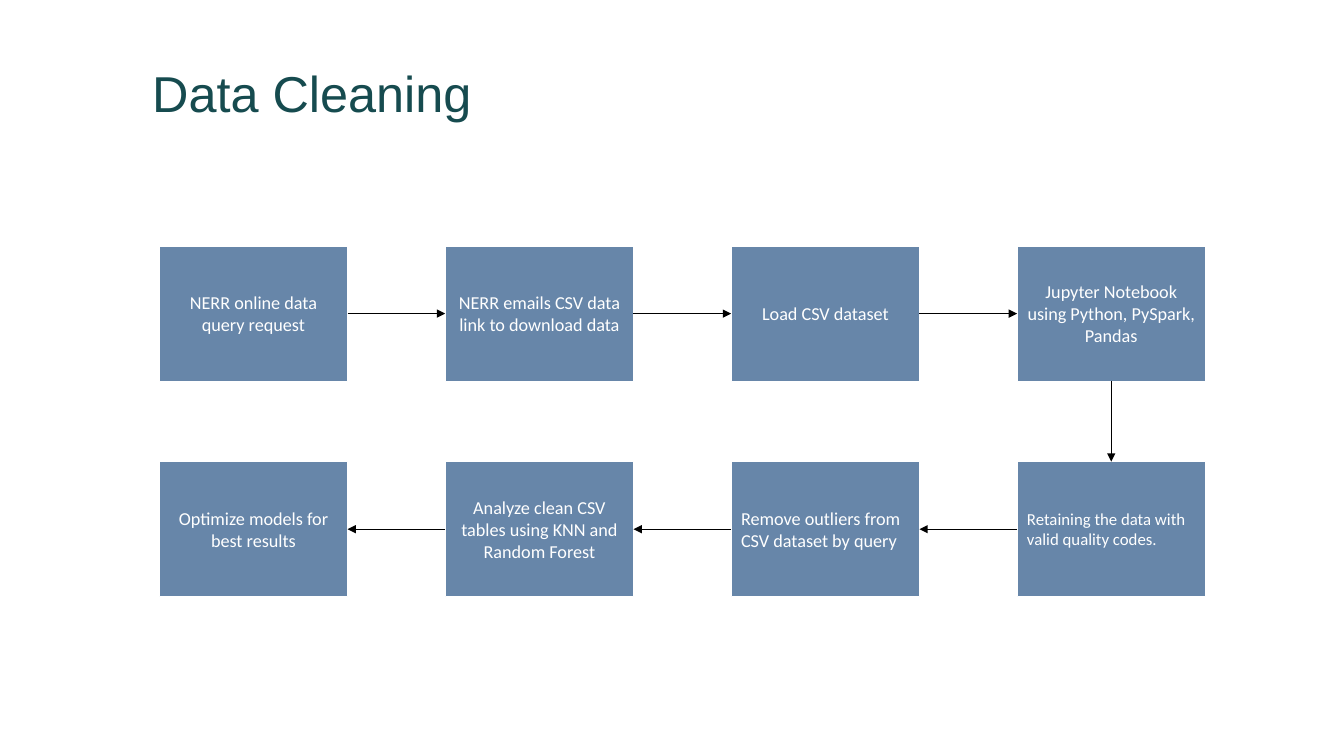
import pptx
import pptx.dml.color
import pptx.enum.shapes
import pptx.enum.text
import pptx.oxml.ns
import pptx.util
from dataclasses import dataclass
from lxml import etree

Pt = pptx.util.Pt
RGB = pptx.dml.color.RGBColor.from_string
ALIGN = pptx.enum.text.PP_ALIGN
ANCHOR = pptx.enum.text.MSO_ANCHOR


@dataclass(frozen=True)
class Theme:
    title_color = RGB("164B4F")
    step_fill = RGB("6786A9")
    white = RGB("FFFFFF")
    arrow_color = RGB("000000")
    title_font = "Arial"
    step_font = "Calibri"
    title_size = Pt(36)
    step_size = Pt(13)
    small_size = Pt(12)
    line_width = Pt(0.75)


theme = Theme()


def apply_format(target, values):
    for attribute, value in values.items():
        setattr(target, attribute, value)


def style_text(frame, frame_format, paragraph_format, size, font, color):
    apply_format(frame, frame_format)
    for paragraph in frame.paragraphs:
        apply_format(paragraph, paragraph_format)
        apply_format(paragraph.font, {"size": size, "name": font, "bold": False})
        paragraph.font.color.rgb = color


deck = pptx.Presentation()
apply_format(deck, {"slide_width": Pt(960), "slide_height": Pt(540)})
slide = deck.slides.add_slide(deck.slide_layouts[5])

heading = slide.shapes.title
apply_format(heading, {"left": Pt(101.5), "top": Pt(30.25), "width": Pt(756), "height": Pt(61.2)})
heading.text_frame.text = "Data Cleaning"
style_text(
    heading.text_frame,
    {"vertical_anchor": ANCHOR.BOTTOM, "word_wrap": True,
     "auto_size": pptx.enum.text.MSO_AUTO_SIZE.NONE},
    {"alignment": ALIGN.LEFT, "line_spacing": 0.9},
    theme.title_size, theme.title_font, theme.title_color,
)

# Steps in process order: the top row runs right, the bottom row runs back left.
COLUMNS = 4
LEFT, TOP = 113.75, 175.75
COLUMN_PITCH, ROW_PITCH = 204.25, 154
STEP_WIDTH, STEP_HEIGHT = 134.5, 96.5
process = [
    ("NERR online data query request", ALIGN.CENTER, theme.step_size),
    ("NERR emails CSV data link to download data", ALIGN.CENTER, theme.step_size),
    ("Load CSV dataset", ALIGN.CENTER, theme.step_size),
    ("Jupyter Notebook using Python, PySpark,\nPandas", ALIGN.CENTER, theme.step_size),
    ("Retaining the data with valid quality codes.", ALIGN.LEFT, theme.small_size),
    ("Remove outliers from CSV dataset by query", ALIGN.LEFT, theme.step_size),
    ("Analyze clean CSV tables using KNN and Random Forest", ALIGN.CENTER, theme.step_size),
    ("Optimize models for best results", ALIGN.CENTER, theme.step_size),
]
margins = {f"margin_{side}": Pt(7.2) for side in ("left", "top", "right", "bottom")}

steps = []
for index, (wording, alignment, size) in enumerate(process):
    row, offset = divmod(index, COLUMNS)
    column = COLUMNS - 1 - offset if row else offset
    step = slide.shapes.add_shape(
        pptx.enum.shapes.MSO_SHAPE.RECTANGLE,
        Pt(LEFT + column * COLUMN_PITCH), Pt(TOP + row * ROW_PITCH),
        Pt(STEP_WIDTH), Pt(STEP_HEIGHT),
    )
    step.shadow.inherit = False
    step.fill.solid()
    step.fill.fore_color.rgb = theme.step_fill
    step.line.color.rgb = theme.white
    step.line.width = theme.line_width
    step.text_frame.text = wording
    style_text(
        step.text_frame,
        {"vertical_anchor": ANCHOR.MIDDLE, "word_wrap": True, **margins},
        {"alignment": alignment}, size, theme.step_font, theme.white,
    )
    steps.append(step)

TOP_SIDE, LEFT_SIDE, BOTTOM_SIDE, RIGHT_SIDE = range(4)
joints = (
    [(RIGHT_SIDE, LEFT_SIDE)] * (COLUMNS - 1)
    + [(BOTTOM_SIDE, TOP_SIDE)]
    + [(LEFT_SIDE, RIGHT_SIDE)] * (COLUMNS - 1)
)
for source, target, (exit_side, entry_side) in zip(steps, steps[1:], joints):
    arrow = slide.shapes.add_connector(pptx.enum.shapes.MSO_CONNECTOR.STRAIGHT, 0, 0, 0, 0)
    arrow.begin_connect(source, exit_side)
    arrow.end_connect(target, entry_side)
    arrow.line.color.rgb = theme.arrow_color
    arrow.line.width = theme.line_width
    etree.SubElement(arrow.line._get_or_add_ln(), pptx.oxml.ns.qn("a:tailEnd"), type="triangle")
    etree.SubElement(arrow._element.spPr, pptx.oxml.ns.qn("a:effectLst"))

deck.save("out.pptx")
